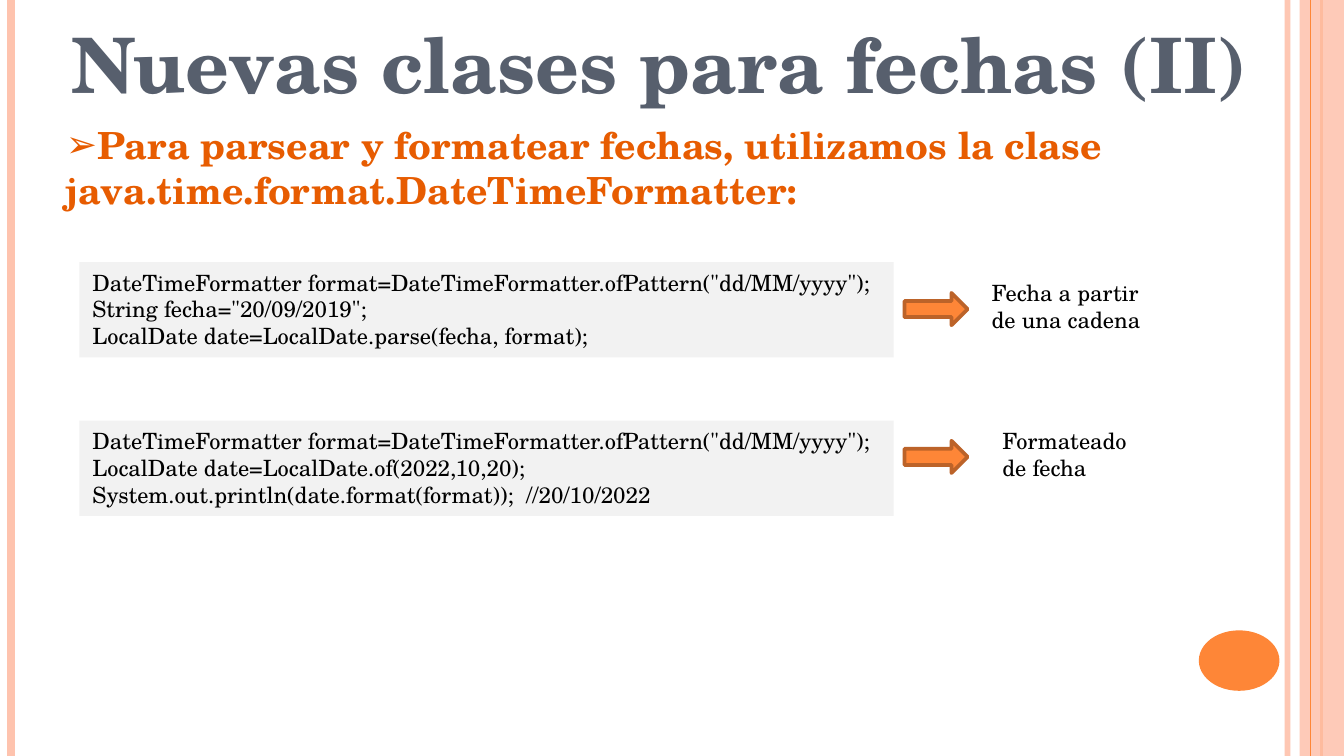
from lxml.etree import SubElement
from pptx import Presentation
from pptx.dml.color import RGBColor
from pptx.enum.shapes import MSO_CONNECTOR, MSO_SHAPE
from pptx.enum.text import MSO_ANCHOR, MSO_AUTO_SIZE, PP_ALIGN
from pptx.oxml.ns import qn
from pptx.util import Inches, Pt

FONT = "TeX Gyre Schola"
W = 10
H = W * 9 / 16
COLORS = {
    "title": "575F6D", "heading": "E75C01", "text": "000000", "code": "F2F2F2",
    "orange": "FE8637", "peach": "FEC3AE", "arrow_edge": "BC6329",
}


def rgb(name):
    return RGBColor.from_string(COLORS[name])


def set_alpha(sp, percent):
    for clr in sp._element.spPr.iter(qn("a:srgbClr")):
        SubElement(clr, qn("a:alpha")).set("val", str(percent * 1000))


def place(sp, x, y, w, h):
    sp.left, sp.top, sp.width, sp.height = map(Inches, (x, y, w, h))


def add_shape(s, kind, x, y, w, h, fill, edge=None):
    sp = s.shapes.add_shape(kind, *map(Inches, (x, y, w, h)))
    sp.shadow.inherit = False
    sp.fill.solid()
    sp.fill.fore_color.rgb = rgb(fill)
    if edge:
        sp.line.color.rgb = rgb(edge)
        sp.line.width = Pt(2)
    else:
        sp.line.fill.background()
    return sp


def add_rail(s, x, color, width, alpha=100):
    ln = s.shapes.add_connector(
        MSO_CONNECTOR.STRAIGHT, Inches(x), 0, Inches(x), Inches(H))
    ln.line.color.rgb = rgb(color)
    ln.line.width = Pt(width)
    SubElement(ln._element.spPr, qn("a:effectLst"))
    if alpha < 100:
        set_alpha(ln, alpha)


def write(sp, lines, size, color, bold=False):
    tf = sp.text_frame
    tf.word_wrap = True
    tf.auto_size = MSO_AUTO_SIZE.NONE
    tf.vertical_anchor = MSO_ANCHOR.TOP
    for i, line in enumerate(lines):
        p = tf.add_paragraph() if i else tf.paragraphs[0]
        p.alignment = PP_ALIGN.LEFT
        p.space_before = Pt(0)
        r = p.add_run()
        r.text = line
        r.font.name = FONT
        r.font.size = Pt(size)
        r.font.bold = bold
        r.font.color.rgb = rgb(color)
    return tf


def add_frame(s):
    add_rail(s, 9.58, "peach", 3, 93)
    add_rail(s, 0.08, "peach", 4.5)
    add_rail(s, 9.83, "orange", 1.5)
    band = add_shape(s, MSO_SHAPE.RECTANGLE, 9.67, 0, 0.33, H, "peach")
    set_alpha(band, 87)
    add_rail(s, 9.75, "orange", 0.75)
    add_shape(s, MSO_SHAPE.OVAL, 8.92, 4.69, 0.6, 0.45, "orange")


def add_title(s, text, x, y, w, h):
    sp = s.shapes.title
    place(sp, x, y, w, h)
    write(sp, [text], 41, "title", True)


def add_heading(s, text, x, y, w, h):
    sp = s.placeholders[1]
    place(sp, x, y, w, h)
    p = write(sp, [text], 20, "heading", True).paragraphs[0]
    p.space_after = Pt(6)
    pPr = p._p.get_or_add_pPr()
    pPr.set("marL", "0")
    pPr.set("indent", "0")
    SubElement(pPr, qn("a:buChar")).set("char", "➢")


def add_example(s, code, label, x, y, arrow_dy, label_dx, label_dy):
    box = add_shape(s, MSO_SHAPE.RECTANGLE, x, y, 6.06, 0.71, "code")
    write(box, code, 12, "text")
    add_shape(s, MSO_SHAPE.RIGHT_ARROW, x + 6.14, y + arrow_dy, 0.47, 0.24,
              "orange", "arrow_edge")
    tb = s.shapes.add_textbox(
        *map(Inches, (x + label_dx, y + label_dy, 1.34, 0.5)))
    write(tb, [label], 12, "text")


def main():
    prs = Presentation()
    prs.slide_width, prs.slide_height = Inches(W), Inches(H)
    s = prs.slides.add_slide(prs.slide_layouts[1])
    add_frame(s)
    add_title(s, "Nuevas clases para fechas (II)", 0.43, 0.08, 9.06, 0.89)
    add_heading(
        s, "Para parsear y formatear fechas, utilizamos la clase "
        "java.time.format.DateTimeFormatter:", 0.39, 0.86, 9.1, 1.54)
    pattern = 'DateTimeFormatter format=DateTimeFormatter.ofPattern("dd/MM/yyyy");'
    add_example(
        s, [pattern, 'String fecha="20/09/2019";',
            "LocalDate date=LocalDate.parse(fecha, format);"],
        "Fecha a partir de una cadena", 0.59, 1.95, 0.23, 6.69, 0.08)
    add_example(
        s, [pattern, "LocalDate date=LocalDate.of(2022,10,20);",
            "System.out.println(date.format(format));  //20/10/2022"],
        "Formateado de fecha", 0.59, 3.13, 0.15, 6.77, 0)
    prs.save("out.pptx")


if __name__ == "__main__":
    main()
